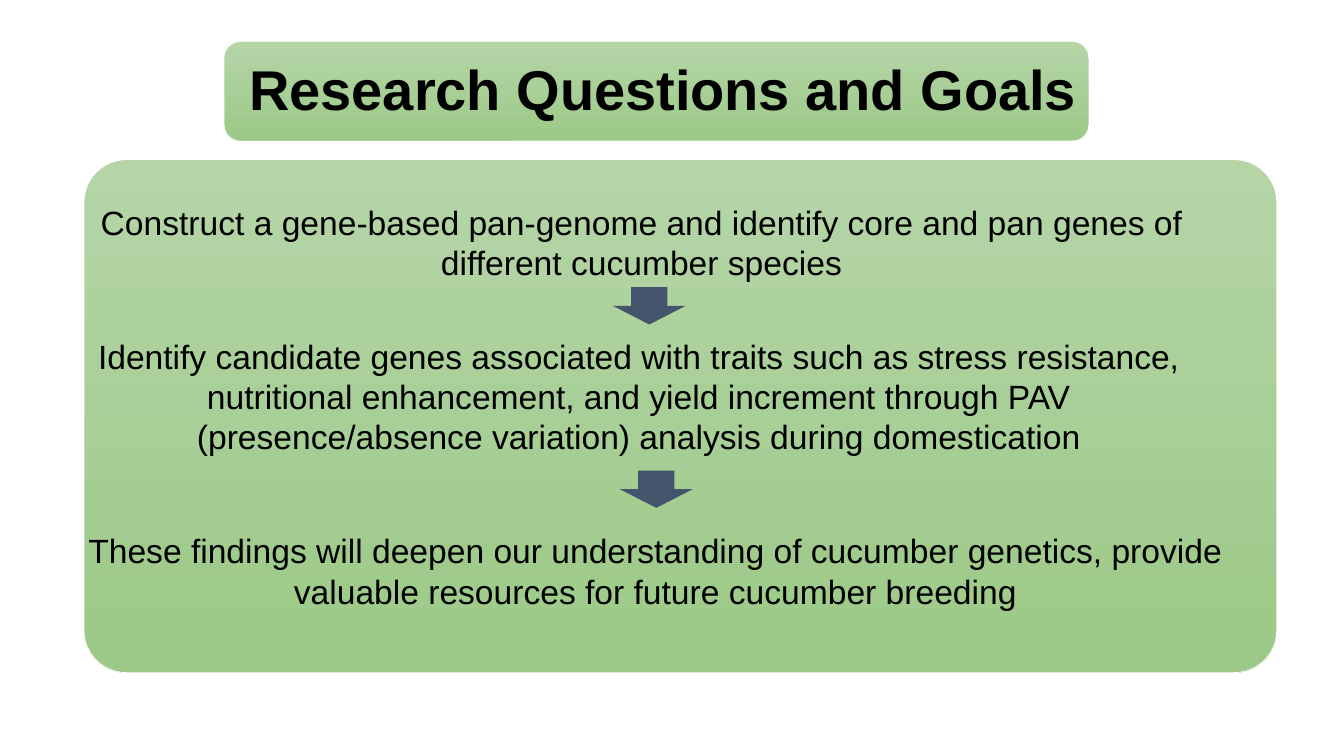
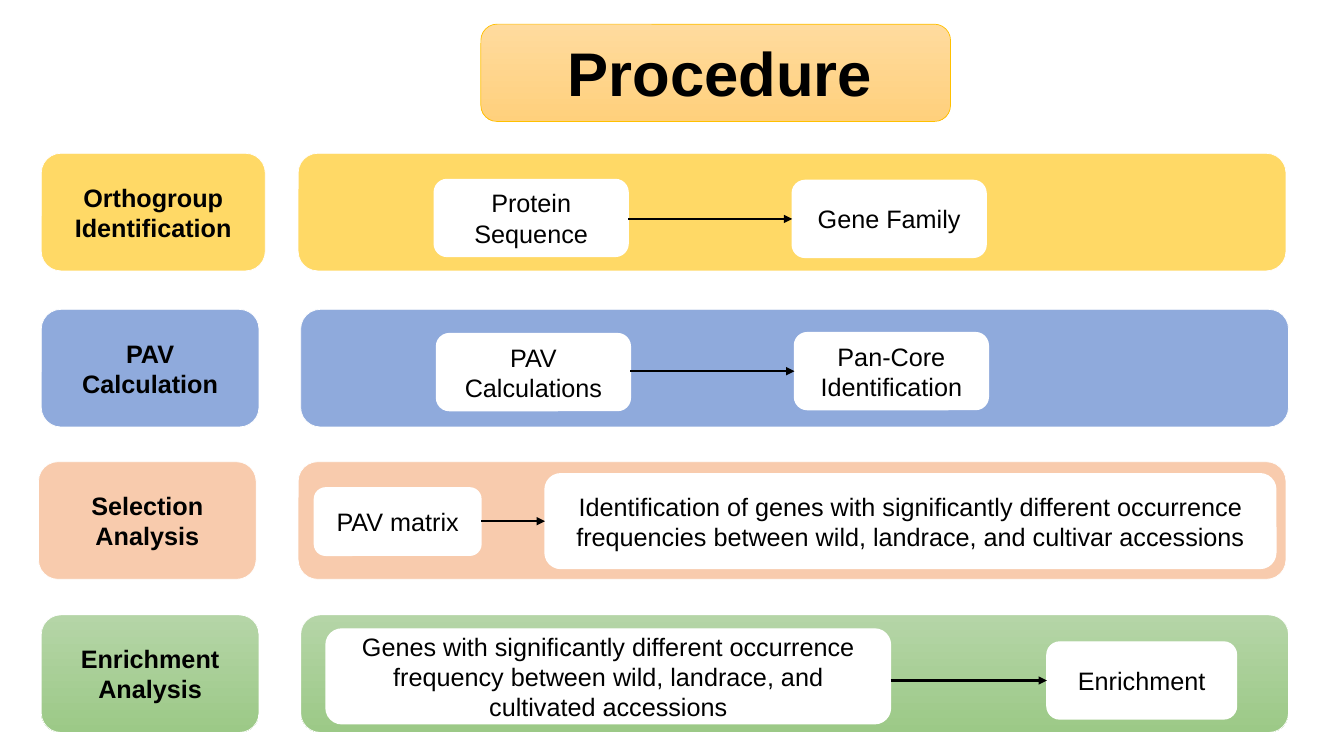
from lxml import etree
from pptx import Presentation
from pptx.dml.color import RGBColor
from pptx.enum import shapes, text
from pptx.oxml import ns
from pptx.util import Pt

FONT = "Arial"
BLACK = RGBColor(0x00, 0x00, 0x00)
WHITE = RGBColor(0xFF, 0xFF, 0xFF)
SLATE = RGBColor(0x44, 0x54, 0x6A)
YELLOW = RGBColor(0xFF, 0xD9, 0x66)
BLUE = RGBColor(0x8F, 0xAA, 0xDC)
PEACH = RGBColor(0xF8, 0xCB, 0xAD)
GOLD = RGBColor(0xFF, 0xC0, 0x00)
GREEN_FADE = (RGBColor(0xB5, 0xD5, 0xA7), RGBColor(0x9C, 0xC9, 0x87))
ORANGE_FADE = (RGBColor(0xFF, 0xDB, 0x9E), RGBColor(0xFF, 0xD0, 0x7C))

BAND_WIDTH = 705.6
ROW_HEIGHT = 84

# Goal text: left, top, width, height, wording
GOALS = [
    (48.2, 140.4, 820, 65.5, "Construct a gene-based pan-genome and identify core and pan genes "
     "of different cucumber species"),
    (43.2, 236.2, 826, 94.5, "Identify candidate genes associated with traits such as stress "
     "resistance, nutritional enhancement, and yield increment through PAV "
     "(presence/absence variation) analysis during domestication"),
    (20.2, 375.1, 895.7, 65.5, "These findings will deepen our understanding of cucumber genetics, "
     "provide valuable resources for future cucumber breeding"),
]
GOAL_ARROWS = [(437.8, 205.2), (442.8, 336.2)]

# Row: top, fill, label, label left, label width, band left, steps
# Step: left, top, width, height, wording
ROWS = [
    (109.5, YELLOW, "Orthogroup\vIdentification", 29.5, 160, 213, [
        (310.2, 128.2, 138.5, 55, "Protein Sequence"),
        (565.9, 128.9, 138.5, 55, "Gene Family")]),
    (221, BLUE, "PAV\vCalculation", 29.5, 155.5, 214.8, [
        (311.8, 238.3, 138.5, 55, "PAV Calculations"),
        (567.5, 237.6, 138.5, 55, "Pan-Core Identification")]),
    (329.8, PEACH, "Selection Analysis", 27.5, 155.5, 213, [
        (224.6, 348.5, 119, 48.2, "PAV matrix"),
        (389.3, 338.4, 522, 67.7, "Identification of genes with significantly different "
         "occurrence frequencies between wild, landrace, and cultivar accessions")]),
    (439.2, GREEN_FADE, "Enrichment Analysis", 29.5, 155.5, 214.8, [
        (232.9, 449.3, 403.2, 67.7, "Genes with significantly different occurrence frequency "
         "between wild, landrace, and cultivated accessions"),
        (747.8, 458.6, 135.4, 55, "Enrichment")]),
]


def paint(shape, fill):
    """Fill with one colour, or with a (top, bottom) pair as a vertical fade."""
    if isinstance(fill, RGBColor):
        shape.fill.solid()
        shape.fill.fore_color.rgb = fill
        return
    shape.fill.gradient()
    shape.fill.gradient_angle = 270
    for stop, color in zip(shape.fill.gradient_stops, fill):
        stop.color.rgb = color


def write(shape, wording, size, bold=False, align=text.PP_ALIGN.CENTER):
    frame = shape.text_frame
    frame.word_wrap = True
    frame.text = wording
    para = frame.paragraphs[0]
    para.alignment = align
    para.font.name = FONT
    para.font.size = Pt(size)
    para.font.bold = bold
    para.font.color.rgb = BLACK
    return para


def add_panel(page, left, top, width, height, fill, outline=WHITE, weight=0.5):
    panel = page.shapes.add_shape(shapes.MSO_SHAPE.ROUNDED_RECTANGLE,
                                  Pt(left), Pt(top), Pt(width), Pt(height))
    panel.shadow.inherit = False
    paint(panel, fill)
    panel.line.color.rgb = outline
    panel.line.width = Pt(weight)
    return panel


def add_title(page, wording, left, top, width, height, size, indent, drop, fill, outline):
    """Title panel; indent and drop are its left and top text margins."""
    panel = add_panel(page, left, top, width, height, fill, outline)
    frame = panel.text_frame
    frame.vertical_anchor = text.MSO_ANCHOR.MIDDLE
    frame.margin_left, frame.margin_top = Pt(indent), Pt(drop)
    frame.margin_right = frame.margin_bottom = Pt(0)
    para = write(panel, wording, size, True, text.PP_ALIGN.LEFT)
    para.line_spacing = 0.9


def add_goal(page, left, top, width, height, wording):
    box = page.shapes.add_textbox(Pt(left), Pt(top), Pt(width), Pt(height))
    write(box, wording, 24)


def add_down_arrow(page, left, top):
    arrow = page.shapes.add_shape(shapes.MSO_SHAPE.DOWN_ARROW,
                                  Pt(left), Pt(top), Pt(52), Pt(26.6))
    arrow.shadow.inherit = False
    paint(arrow, SLATE)
    arrow.line.fill.background()


def add_step(page, left, top, width, height, wording):
    step = add_panel(page, left, top, width, height, WHITE, weight=1)
    write(step, wording, 18)
    return step


def link_steps(page, source, target):
    """Level arrow between two steps, at mid-height of the target."""
    middle = target.top + target.height // 2
    link = page.shapes.add_connector(shapes.MSO_CONNECTOR.STRAIGHT,
                                     source.left + source.width, middle, target.left, middle)
    link.line.color.rgb = BLACK
    link.line.width = Pt(1.5)
    etree.SubElement(link.line._get_or_add_ln(), ns.qn("a:tailEnd"), type="triangle")
    etree.SubElement(link._element.spPr, ns.qn("a:effectLst"))


def add_row(page, top, fill, label, label_left, label_width, band_left, steps):
    tag = add_panel(page, label_left, top, label_width, ROW_HEIGHT, fill)
    write(tag, label, 18, bold=True)
    add_panel(page, band_left, top, BAND_WIDTH, ROW_HEIGHT, fill)
    source, target = [add_step(page, *step) for step in steps]
    link_steps(page, source, target)


def build_goals(page):
    panel = add_panel(page, 60, 114, 852, 366.5, GREEN_FADE)
    panel.adjustments[0] = 0.083
    add_title(page, "Research Questions and Goals", 160, 29.5, 617.8, 71.3,
              40, 14.5, 1.5, GREEN_FADE, WHITE)
    for goal in GOALS:
        add_goal(page, *goal)
    for left, top in GOAL_ARROWS:
        add_down_arrow(page, left, top)


def build_procedure(page):
    add_title(page, "Procedure", 343.5, 17.3, 335.5, 69.5, 44, 58.5, 5, ORANGE_FADE, GOLD)
    for row in ROWS:
        add_row(page, *row)


def main():
    deck = Presentation()
    deck.slide_width, deck.slide_height = Pt(960), Pt(540)
    blank = deck.slide_layouts[6]
    for build in (build_goals, build_procedure):
        build(deck.slides.add_slide(blank))
    deck.save("out.pptx")


if __name__ == "__main__":
    main()
